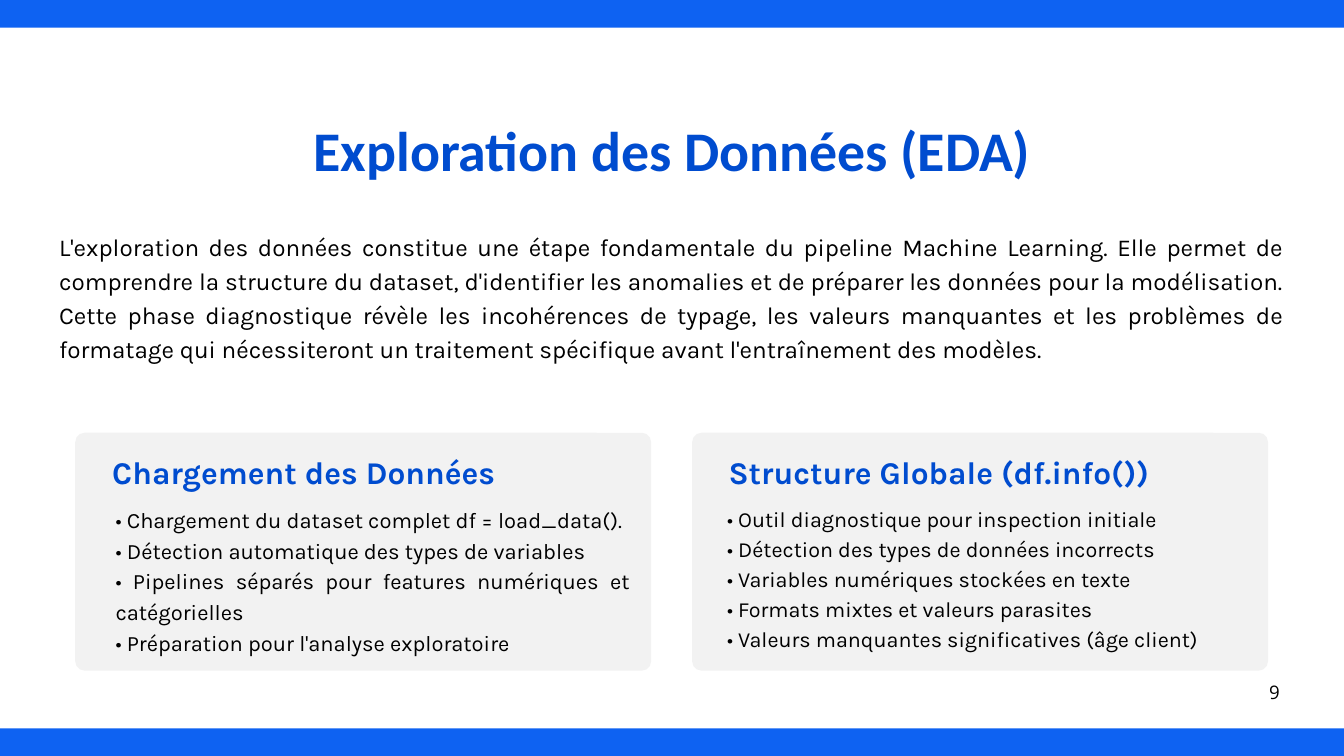
import pptx
import pptx.util
import pptx.dml.color
import pptx.enum.shapes
import pptx.enum.text

Inches, Pt = pptx.util.Inches, pptx.util.Pt
SHAPE = pptx.enum.shapes.MSO_SHAPE
ALIGN = pptx.enum.text.PP_ALIGN

BLUE, TITLE_BLUE, GREY, BLACK = "0E62F2", "004CCF", "F2F2F2", "000000"


def color(value):
    return pptx.dml.color.RGBColor.from_string(value)


def add_text(slide, text, left, top, width, height, size, leading,
             font="Karla", fill=BLACK, bold=False, align=ALIGN.JUSTIFY, wrap=True):
    """Add a text box without margins; each line of text is a paragraph."""
    box = slide.shapes.add_textbox(Inches(left), Inches(top), Inches(width), Inches(height))
    tf = box.text_frame
    tf.word_wrap = wrap
    tf.margin_left = tf.margin_right = tf.margin_top = tf.margin_bottom = 0
    for i, line in enumerate(text.split("\n")):
        p = tf.paragraphs[0] if i == 0 else tf.add_paragraph()
        p.alignment = align
        p.line_spacing = Pt(leading)
        r = p.add_run()
        r.text = line
        r.font.name = font
        r.font.size = Pt(size)
        r.font.bold = bold
        r.font.color.rgb = color(fill)


def add_block(slide, kind, left, top, width, height, fill):
    sp = slide.shapes.add_shape(kind, Inches(left), Inches(top), Inches(width), Inches(height))
    sp.shadow.inherit = False
    sp.fill.solid()
    sp.fill.fore_color.rgb = color(fill)
    sp.line.fill.background()
    return sp


def add_bars(slide, width, height, bar=0.41, bleed=0.18):
    for top in (0, height - bar):
        add_block(slide, SHAPE.RECTANGLE, -bleed, top, width + bleed, bar, BLUE)


def add_card(slide, left, top, title, title_x, title_width, title_align,
             items, items_x, items_y, items_width, size, leading):
    """Add a rounded card; x and y offsets are measured from its corner."""
    width, height, radius = 8.57, 3.54, 0.14
    card = add_block(slide, SHAPE.ROUNDED_RECTANGLE, left, top, width, height, GREY)
    card.adjustments[0] = radius / height
    add_text(slide, "\n".join(f"• {item}" for item in items), left + items_x, top + items_y,
             items_width, len(items) * leading / 72, size, leading)
    add_text(slide, title, left + title_x, top + 0.2, title_width, 0.64, 33.9, 47.4,
             fill=TITLE_BLUE, bold=True, align=title_align)


def main():
    prs = pptx.Presentation()
    prs.slide_width, prs.slide_height = Inches(20), Inches(11.25)
    s = prs.slides.add_slide(prs.slide_layouts[6])

    add_bars(s, 20, 11.25)
    add_text(s, "Exploration des Données (EDA)", 2.39, 1.83, 15.23, 0.91, 59.9, 63.5,
             font="Calibri", fill=TITLE_BLUE, bold=True, align=ALIGN.CENTER)
    add_text(s, "L'exploration des données constitue une étape fondamentale du pipeline "
             "Machine Learning. Elle permet de comprendre la structure du dataset, "
             "d'identifier les anomalies et de préparer les données pour la modélisation. "
             "Cette phase diagnostique révèle les incohérences de typage, les valeurs "
             "manquantes et les problèmes de formatage qui nécessiteront un traitement "
             "spécifique avant l'entraînement des modèles.",
             0.88, 3.39, 18.24, 2, 26, 36.4)

    add_card(s, 1.12, 6.44, "Chargement des Données", 0.55, 5.82, ALIGN.JUSTIFY,
             ["Chargement du dataset complet df = load_data().",
              "Détection automatique des types de variables",
              "Pipelines séparés pour features numériques et catégorielles",
              "Préparation pour l'analyse exploratoire"],
             0.6, 1.03, 7.66, 23.5, 32.9)
    add_card(s, 10.3, 6.44, "Structure Globale (df.info())", 0.52, 6.29, ALIGN.RIGHT,
             ["Outil diagnostique pour inspection initiale",
              "Détection des types de données incorrects",
              "Variables numériques stockées en texte",
              "Formats mixtes et valeurs parasites",
              "Valeurs manquantes significatives (âge client)"],
             0.52, 1.02, 7.06, 23.1, 32.3)

    add_text(s, "9", 18.88, 10.07, 0.17, 0.22, 20, 28,
             font="Open Sans", align=ALIGN.CENTER, wrap=False)
    prs.save("out.pptx")


if __name__ == "__main__":
    main()
